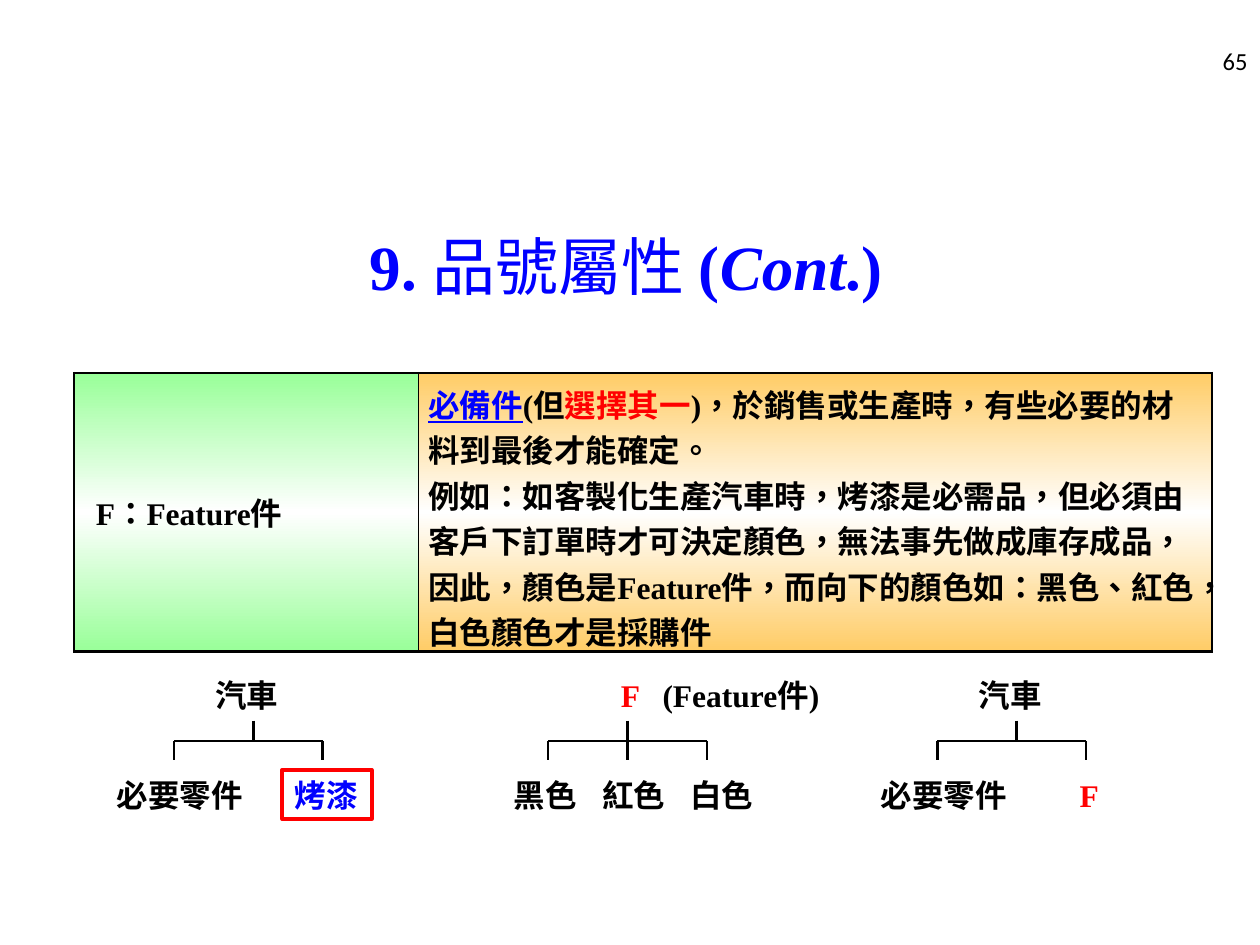
from copy import deepcopy

from lxml import etree
from pptx import Presentation
from pptx.dml.color import RGBColor
from pptx.enum.lang import MSO_LANGUAGE_ID
from pptx.enum.shapes import MSO_CONNECTOR, MSO_SHAPE
from pptx.enum.text import MSO_ANCHOR, PP_ALIGN
from pptx.oxml.ns import qn
from pptx.util import Inches, Pt

STRAIGHT = MSO_CONNECTOR.STRAIGHT
RECTANGLE = MSO_SHAPE.RECTANGLE
MIDDLE, TOP = MSO_ANCHOR.MIDDLE, MSO_ANCHOR.TOP
LEFT, CENTER, RIGHT = PP_ALIGN.LEFT, PP_ALIGN.CENTER, PP_ALIGN.RIGHT
CHINESE = MSO_LANGUAGE_ID.TRADITIONAL_CHINESE

COLORS = {
    "black": "000000",
    "white": "FFFFFF",
    "blue": "0000FF",
    "red": "FF0000",
    "green": "99FF99",
    "orange": "FFCC66",
}
SERIF, SANS = "Times New Roman", "Noto Sans CJK SC"

PARENT_TOP, CHILD_TOP, LABEL_HEIGHT = 5.32, 6.11, 0.4
TRUNK_TOP, BRANCH_Y, BRANCH_BOTTOM = 5.72, 5.88, 6.03
SECOND_CAR = 6.06  # distance between the two car trees


def rgb(name):
    return RGBColor.from_string(COLORS[name])


class SlideBuilder:
    def __init__(self, slide, font=SERIF, size=18, line_width=1.5):
        self.slide = slide
        self.font = font
        self.size = size
        self.line_width = line_width

    def add_run(self, paragraph, text, color="black", bold=True, italic=False,
                underline=False, size=None, font=None):
        run = paragraph.add_run()
        run.text = text
        run.font.name = font or self.font
        run.font.size = Pt(size or self.size)
        run.font.bold = bold
        run.font.italic = italic
        run.font.underline = underline
        run.font.color.rgb = rgb(color)
        run.font.language_id = CHINESE

    def title(self, left, top, width, height, runs):
        shape = self.slide.shapes.title
        shape.left, shape.top = Inches(left), Inches(top)
        shape.width, shape.height = Inches(width), Inches(height)
        shape.text_frame.vertical_anchor = MIDDLE
        paragraph = shape.text_frame.paragraphs[0]
        paragraph.alignment = CENTER
        for text, style in runs:
            self.add_run(paragraph, text, "blue", size=36, **style)

    def label(self, left, top, width, text, align=LEFT, anchor=TOP, **style):
        box = self.slide.shapes.add_textbox(
            Inches(left), Inches(top), Inches(width), Inches(LABEL_HEIGHT))
        box.text_frame.word_wrap = True
        box.text_frame.vertical_anchor = anchor
        paragraph = box.text_frame.paragraphs[0]
        paragraph.alignment = align
        self.add_run(paragraph, text, **style)

    def line(self, x1, y1, x2, y2):
        connector = self.slide.shapes.add_connector(
            STRAIGHT, Inches(x1), Inches(y1), Inches(x2), Inches(y2))
        connector.line.color.rgb = rgb("black")
        connector.line.width = Pt(self.line_width)
        etree.SubElement(connector._element.spPr, qn("a:effectLst"))

    def tree(self, trunk, branches):
        self.line(trunk, TRUNK_TOP, trunk, BRANCH_Y)
        self.line(branches[-1], BRANCH_Y, branches[0], BRANCH_Y)
        for x in branches:
            self.line(x, BRANCH_Y, x, BRANCH_BOTTOM)

    def frame(self, left, top, width, height, color):
        shape = self.slide.shapes.add_shape(
            RECTANGLE, Inches(left), Inches(top), Inches(width), Inches(height))
        shape.shadow.inherit = False
        shape.fill.background()
        shape.line.color.rgb = rgb(color)
        shape.line.width = Pt(2.25)

    def cell_borders(self, cell, widths):
        properties = cell._tc.get_or_add_tcPr()
        for side, width in zip(("lnL", "lnR", "lnT", "lnB"), widths):
            border = etree.SubElement(properties, qn(f"a:{side}"), w=str(Pt(width)))
            fill = etree.SubElement(border, qn("a:solidFill"))
            etree.SubElement(fill, qn("a:srgbClr"), val=COLORS["black"])

    def cell_gradient(self, cell, color):
        """Fade vertically from the colour to white and back."""
        cell.fill.gradient()
        cell.fill.gradient_angle = 90
        outer, middle = cell.fill.gradient_stops
        outer.color.rgb, outer.position = rgb(color), 0
        middle.color.rgb, middle.position = rgb("white"), 0.5
        stops = cell._tc.tcPr.find(".//" + qn("a:gsLst"))
        last = deepcopy(stops[0])
        last.set("pos", "100000")
        stops.append(last)

    def table(self, left, top, height, columns):
        """Draw one row; each column is (width, colour, borders, indent, paragraphs)."""
        width = sum(column[0] for column in columns)
        table = self.slide.shapes.add_table(
            1, len(columns), Inches(left), Inches(top),
            Inches(width), Inches(height)).table
        table.first_row = table.horz_banding = False
        for index, (width, color, borders, indent, paragraphs) in enumerate(columns):
            table.columns[index].width = Inches(width)
            cell = table.cell(0, index)
            cell.vertical_anchor = MIDDLE
            cell.margin_left = cell.margin_right = Inches(0.08)
            cell.margin_top = cell.margin_bottom = Inches(0.06)
            self.cell_borders(cell, borders)
            self.cell_gradient(cell, color)
            for number, runs in enumerate(paragraphs):
                frame = cell.text_frame
                paragraph = frame.add_paragraph() if number else frame.paragraphs[0]
                if indent:
                    paragraph._p.get_or_add_pPr().set("marL", str(Inches(indent)))
                for text, style in runs:
                    self.add_run(paragraph, text, **style)


def main():
    presentation = Presentation()
    presentation.slide_width, presentation.slide_height = Inches(10), Inches(7.5)
    slide = presentation.slides.add_slide(presentation.slide_layouts[5])
    builder = SlideBuilder(slide)

    builder.label(7.67, 0.28, 2.33, "65", align=RIGHT, anchor=MIDDLE,
                  bold=False, size=14, font="Calibri")
    builder.title(0.47, 1.48, 9, 1.25, [
        ("9. ", {}),
        ("品號屬性 ", {"bold": False}),
        ("(", {}),
        ("Cont", {"italic": True}),
        (".)", {}),
    ])

    feature = [[("F：Feature件", {})]]
    description = [
        [("必備件", {"color": "blue", "underline": True}),
         ("(但", {}),
         ("選擇其一", {"color": "red"}),
         (")，於銷售或生產時，有些必要的材料到最後才能確定。", {})],
        [("例如：如客製化生產汽車時，烤漆是必需品，但必須由客戶下訂單時才可決定顏色，"
          "無法事先做成庫存成品，因此，顏色是Feature件，而向下的顏色如：黑色、紅色，"
          "白色顏色才是採購件", {})],
    ]
    builder.table(0.59, 2.96, 2.21, [
        (2.73, "green", (1.5, 1, 1.5, 1.5), 0.09, feature),
        (6.3, "orange", (1, 1.5, 1.5, 1.5), 0, description),
    ])

    for offset in (0, SECOND_CAR):
        builder.label(1.61 + offset, PARENT_TOP, 1.1, "汽車")
        builder.tree(2.01 + offset, [1.38 + offset, 2.56 + offset])
        builder.label(0.83 + offset, CHILD_TOP, 1.42, "必要零件")
    builder.label(2.24, CHILD_TOP, 0.71, "烤漆", color="blue")
    builder.frame(2.24, CHILD_TOP, 0.71, 0.39, "red")
    builder.label(8.47, CHILD_TOP, 0.55, "F", color="red")

    builder.label(4.83, PARENT_TOP, 0.55, "F", color="red")
    builder.label(5.16, PARENT_TOP, 1.58, "(Feature件)")
    builder.tree(4.98, [4.35, 4.98, 5.61])
    paints = [("黑色", SERIF), ("紅色", SANS), ("白色", SANS)]
    for index, (text, font) in enumerate(paints):
        builder.label(3.98 + 0.7 * index, CHILD_TOP, 0.8, text, font=font)

    presentation.save("out.pptx")


if __name__ == "__main__":
    main()
